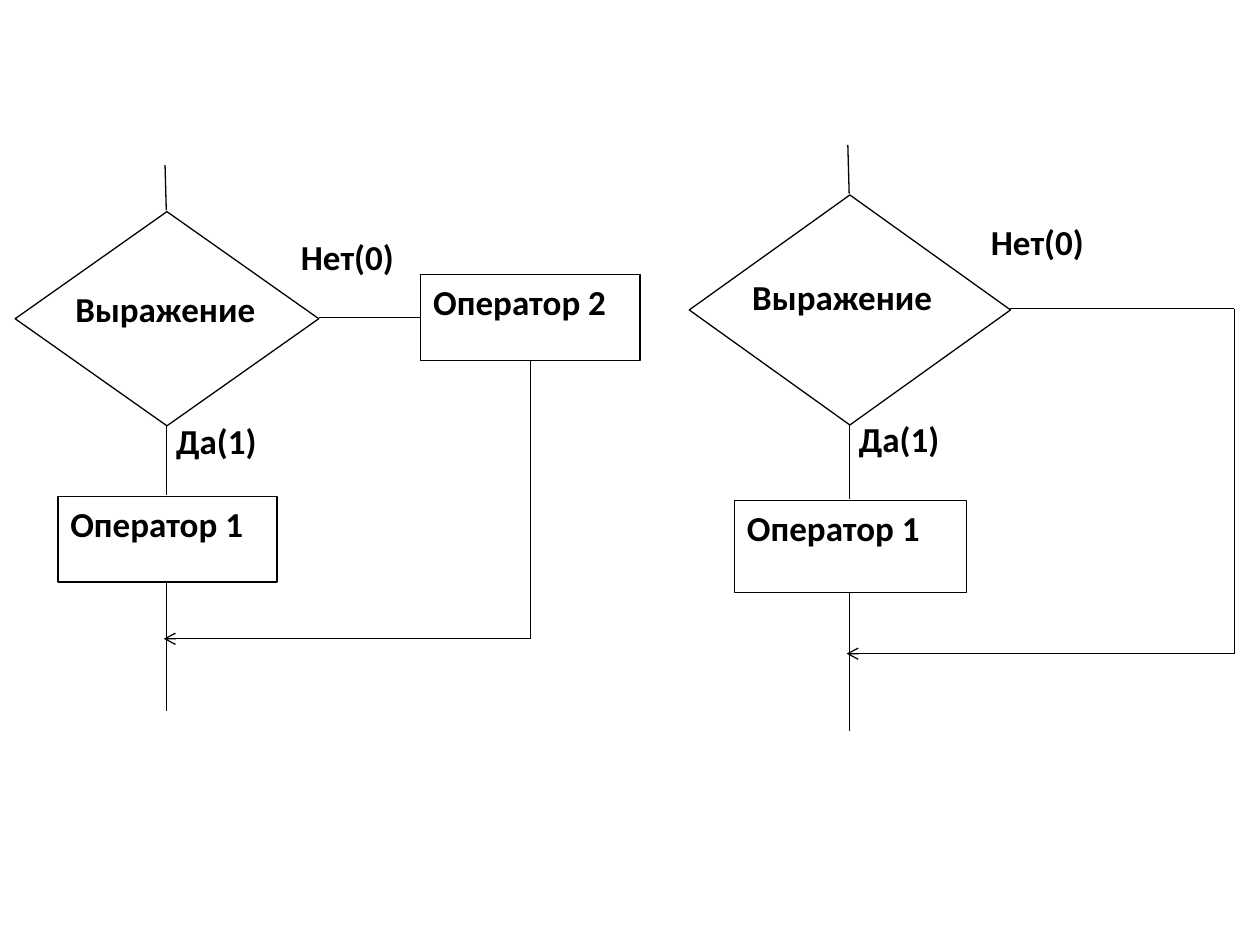
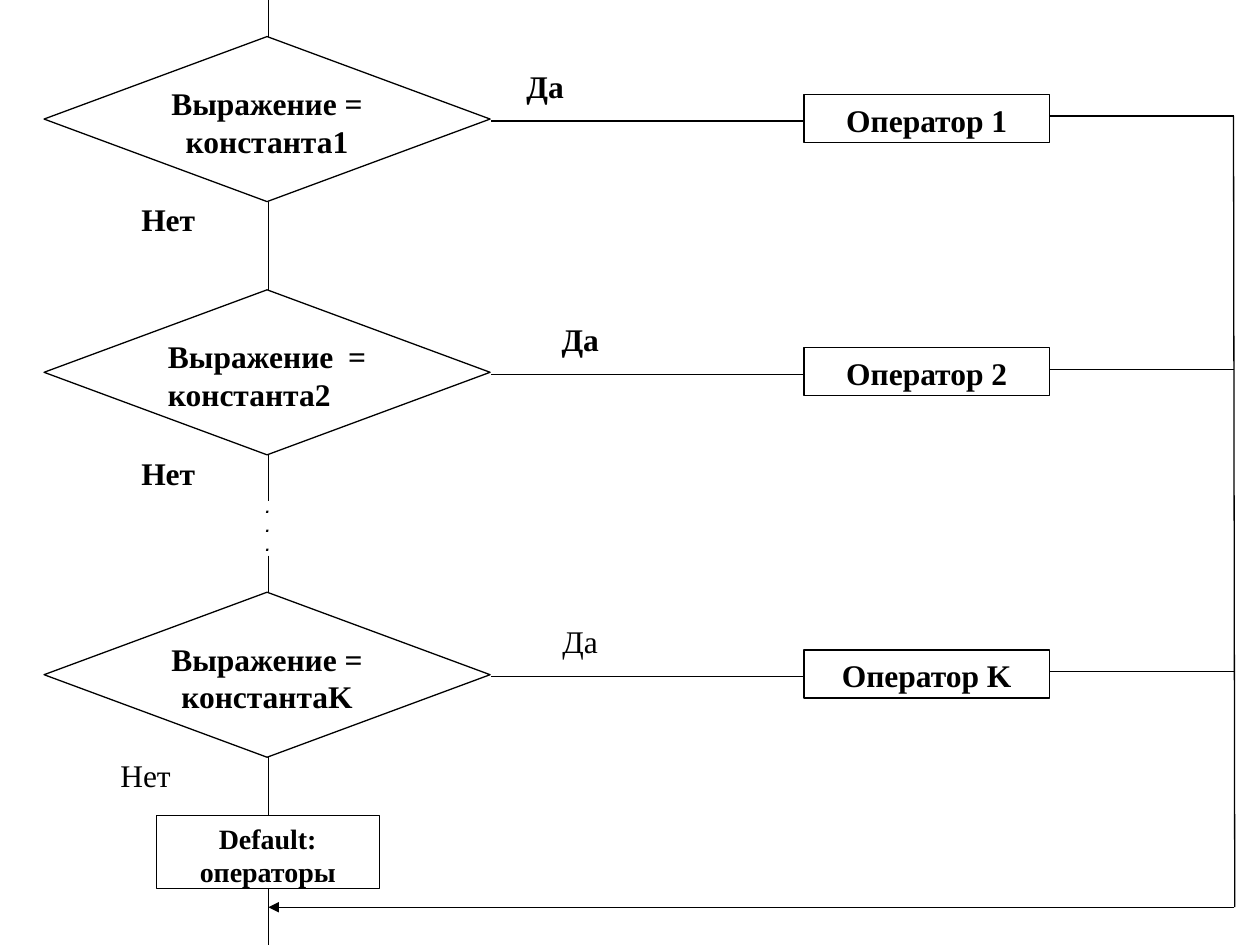
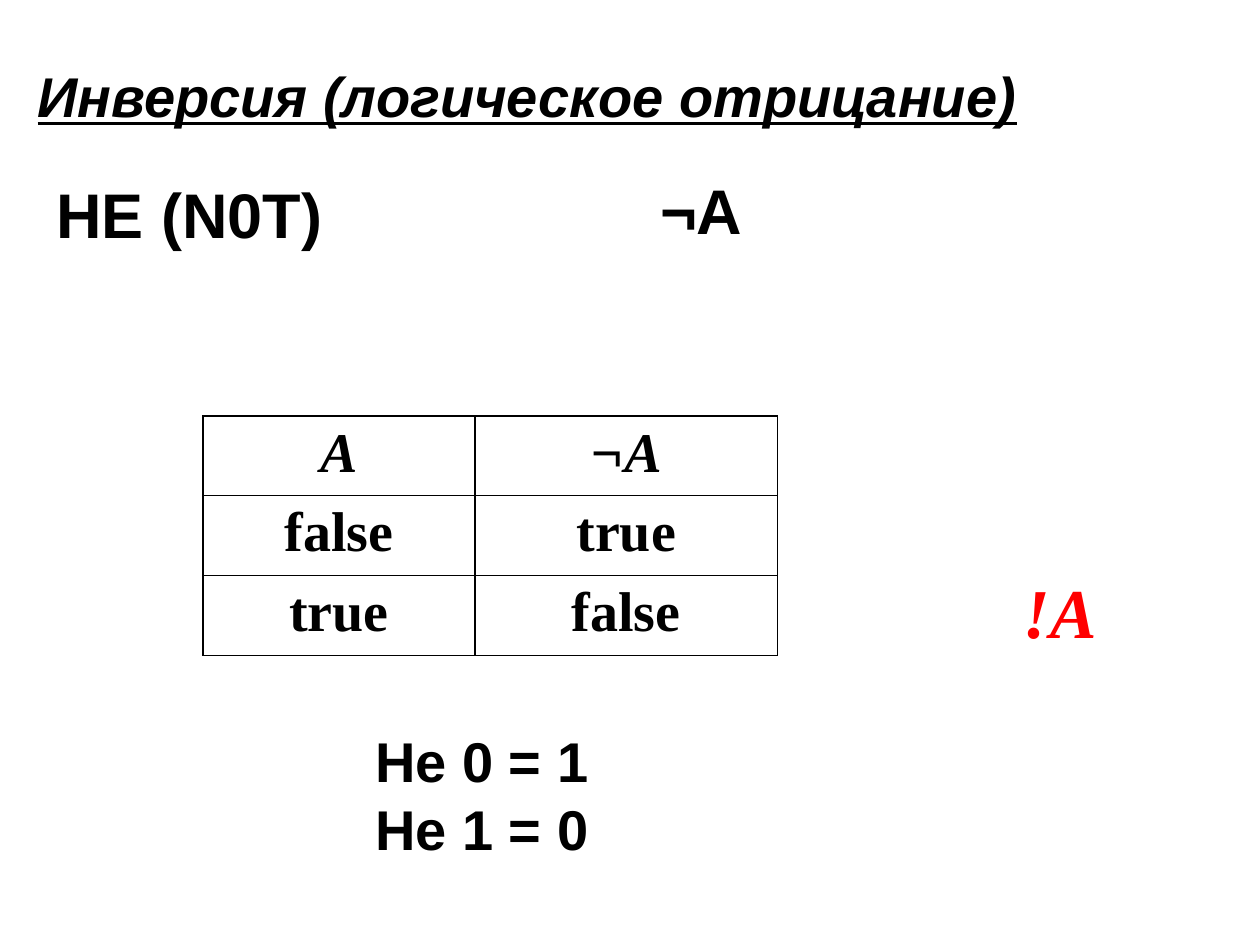
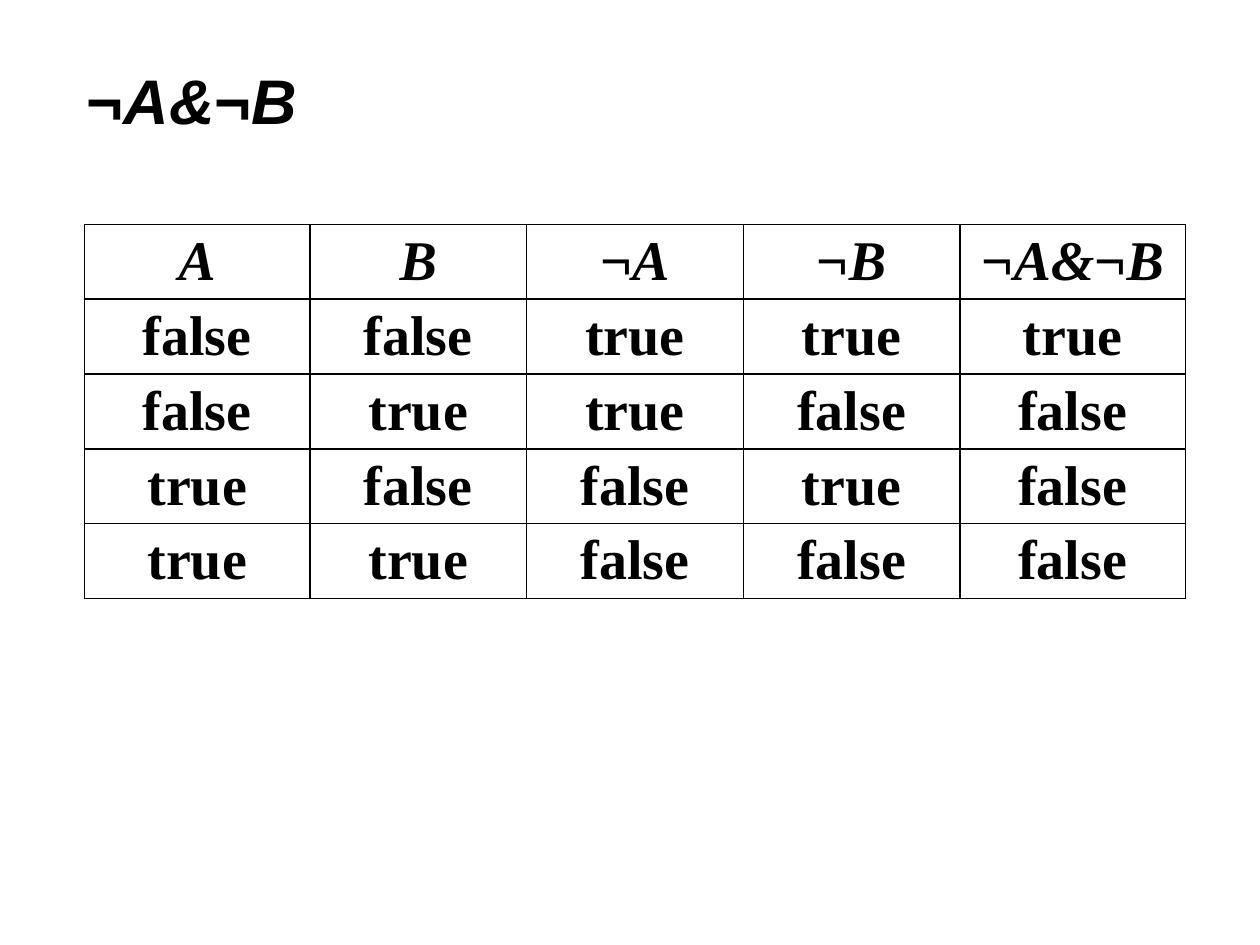
from itertools import groupby

from lxml import etree
from pptx import Presentation
from pptx.dml.color import RGBColor
from pptx.enum.shapes import MSO_CONNECTOR, MSO_SHAPE
from pptx.enum.text import MSO_ANCHOR, PP_ALIGN
from pptx.oxml.ns import qn
from pptx.util import Inches, Pt

BLACK = RGBColor(0x00, 0x00, 0x00)
WHITE = RGBColor(0xFF, 0xFF, 0xFF)
RED = RGBColor(0xFF, 0x00, 0x00)
LEFT, CENTER, JUSTIFY = PP_ALIGN.LEFT, PP_ALIGN.CENTER, PP_ALIGN.JUSTIFY
TOP, MIDDLE = MSO_ANCHOR.TOP, MSO_ANCHOR.MIDDLE
RECT, DECISION = MSO_SHAPE.RECTANGLE, MSO_SHAPE.FLOWCHART_DECISION
STRAIGHT = MSO_CONNECTOR.STRAIGHT
SANS, SERIF, BODY = "Arial", "Times New Roman", "Calibri"
LINE_WIDTH = Pt(0.75)


def write(tf, text, font=SERIF, size=18, bold=True, italic=False,
          underline=False, color=BLACK, align=LEFT, anchor=TOP, upright=""):
    tf.word_wrap = True
    tf.vertical_anchor = anchor
    for i, line in enumerate(text.split("\n")):
        p = tf.add_paragraph() if i else tf.paragraphs[0]
        p.alignment = align
        for is_upright, chars in groupby(line, lambda c: c in upright):
            r = p.add_run()
            r.text = "".join(chars)
            f = r.font
            f.name, f.size, f.bold = font, Pt(size), bold
            f.italic = italic and not is_upright
            f.underline = underline
            f.color.rgb = color


def add_text(slide, box, text, **fmt):
    sp = slide.shapes.add_textbox(*map(Inches, box))
    write(sp.text_frame, text, **fmt)


def add_block(slide, kind, box, text="", outlined=True, **fmt):
    sp = slide.shapes.add_shape(kind, *map(Inches, box))
    sp.shadow.inherit = False
    sp.fill.solid()
    sp.fill.fore_color.rgb = WHITE
    if outlined:
        sp.line.color.rgb = BLACK
        sp.line.width = LINE_WIDTH
    else:
        sp.line.fill.background()
    if text:
        write(sp.text_frame, text, **fmt)


def add_line(slide, start, end, head=None):
    cx = slide.shapes.add_connector(STRAIGHT, *map(Inches, (*start, *end)))
    cx.line.color.rgb = BLACK
    cx.line.width = LINE_WIDTH
    sp_pr = cx._element.spPr
    if head:
        etree.SubElement(sp_pr.find(qn("a:ln")), qn("a:tailEnd"), type=head)
    etree.SubElement(sp_pr, qn("a:effectLst"))


def set_borders(cell):
    tc_pr = cell._tc.get_or_add_tcPr()
    for i, side in enumerate(("a:lnL", "a:lnR", "a:lnT", "a:lnB")):
        ln = etree.Element(qn(side), w=str(Pt(1)))
        fill = etree.SubElement(ln, qn("a:solidFill"))
        etree.SubElement(fill, qn("a:srgbClr"), val=str(BLACK))
        tc_pr.insert(i, ln)


def add_truth_table(slide, left, top, widths, row_height, rows, upright=""):
    frame = slide.shapes.add_table(
        len(rows), len(widths), Inches(left), Inches(top),
        Inches(sum(widths)), Inches(row_height * len(rows)))
    table = frame.table
    table.first_row = table.horz_banding = False
    for column, width in zip(table.columns, widths):
        column.width = Inches(width)
    for i, values in enumerate(rows):
        table.rows[i].height = Inches(row_height)
        for cell, value in zip(table.rows[i].cells, values):
            cell.fill.solid()
            cell.fill.fore_color.rgb = WHITE
            set_borders(cell)
            write(cell.text_frame, value, size=32, italic=i == 0,
                  align=CENTER, upright=upright)


def draw_if(slide, left, top, width, height, has_else):
    sx, sy = width / 2.41, height / 4.33

    def at(x, y):
        return left + x * sx, top + y * sy

    def area(x, y, w, h):
        return *at(x, y), w * sx, h * sy

    fmt = {"font": BODY, "size": 20}
    axis, side, exit_y, merge_y = 1.2, 4.09, 1.21, 3.76
    add_block(slide, DECISION, area(0, 0.37, 2.41, 1.7))
    add_text(slide, area(0.38, 0.92, 1.69, 0.62), "Выражение", **fmt)
    add_block(slide, RECT, area(0.34, 2.63, 1.74, 0.68), "Оператор 1", **fmt)
    add_text(slide, area(1.18, 1.97, 1, 0.68), "Да(1)", **fmt)
    add_text(slide, area(2.17, 0.51, 1.14, 0.68), "Нет(0)", **fmt)
    add_line(slide, at(axis - 0.01, 0), at(axis, 0.36))
    add_line(slide, at(axis, 2.07), at(axis, 2.62))
    add_line(slide, at(axis, 4.33), at(axis, 3.31))
    if has_else:
        add_block(slide, RECT, area(3.22, 0.87, 1.74, 0.68), "Оператор 2", **fmt)
    add_line(slide, at(2.41, exit_y), at(3.22 if has_else else side, exit_y))
    add_line(slide, at(side, 1.55 if has_else else exit_y), at(side, merge_y))
    add_line(slide, at(side, merge_y), at(axis - 0.02, merge_y), head="arrow")


def draw_case(slide, left, top, label, yes_x, no_x, bold=True,
              align=CENTER, yes_align=CENTER):
    def add_label(x, y, w, text, text_align):
        add_block(slide, RECT, (left + x, top + y, w, 0.38), text,
                  outlined=False, bold=bold, align=text_align)

    add_block(slide, DECISION, (left, top, 3.54, 1.31),
              f"Выражение = константа{label}", align=align)
    add_block(slide, RECT, (left + 6.03, top + 0.46, 1.95, 0.38),
              f"Оператор {label}", align=CENTER)
    add_line(slide, (left + 3.55, top + 0.67), (left + 6.03, top + 0.67))
    add_line(slide, (left + 7.98, top + 0.63), (left + 9.44, top + 0.63))
    add_label(yes_x, 0.19, 0.71, "Да", yes_align)
    add_label(no_x, 1.25, 0.89, "Нет", CENTER)


def draw_switch(slide):
    axis, side, merge_y = 2.13, 9.79, 7.2
    draw_case(slide, 0.35, 0.29, "1", 3.73, 0.54, yes_align=LEFT)
    draw_case(slide, 0.35, 2.3, "2", 3.9, 0.54, align=JUSTIFY)
    draw_case(slide, 0.35, 4.7, "K", 3.9, 0.36, bold=False)
    add_block(slide, RECT, (1.24, 6.47, 1.77, 0.58), "Default: операторы",
              size=16, align=CENTER)
    spans = [(0, 0.29), (1.6, 2.3), (3.61, 3.98), (4.41, 4.7), (6.01, 6.47), (7.05, 7.5)]
    for start, end in spans:
        add_line(slide, (axis, start), (axis, end))
    add_line(slide, (side, 0.92), (side + 0.01, merge_y))
    add_line(slide, (side, merge_y), (axis, merge_y), head="triangle")
    add_text(slide, (2.01, 3.9, 0.32, 0.56), ".\n.\n.", font=SANS, size=9, italic=True)


def draw_inversion(slide):
    add_text(slide, (0.2, 0.44, 8.1, 0.63), "Инверсия (логическое отрицание)",
             font=SANS, size=32, italic=True, underline=True, anchor=MIDDLE)
    add_text(slide, (0.35, 1.34, 2.99, 0.7), "НЕ (N0T)", font=SANS, size=36, anchor=MIDDLE)
    add_text(slide, (5.14, 1.31, 1.13, 0.7), "¬A", font=SANS, size=36, anchor=MIDDLE)
    add_truth_table(slide, 1.61, 3.3, [2.16, 2.4], 0.63, [
        ("А", "¬А"),
        ("false", "true"),
        ("true", "false"),
    ])
    add_text(slide, (8.01, 4.46, 0.8, 0.77), "!А", size=40, italic=True,
             color=RED, align=CENTER)
    add_text(slide, (2.88, 5.72, 2.76, 1.18), "Не 0 = 1\nНе 1 = 0", font=SANS, size=32)


def draw_conjunction(slide):
    add_truth_table(slide, 0.67, 1.78, [1.79, 1.72, 1.72, 1.72, 1.79], 0.59, [
        ("А", "В", "¬A", "¬В", "¬A&¬B"),
        ("false", "false", "true", "true", "true"),
        ("false", "true", "true", "false", "false"),
        ("true", "false", "false", "true", "false"),
        ("true", "true", "false", "false", "false"),
    ], upright="¬")
    add_text(slide, (0.59, 0.44, 2.44, 0.7), "¬A&¬B", font=SANS, size=36,
             italic=True, upright="¬")


def draw_branching(slide):
    draw_if(slide, 0.12, 1.31, 2.41, 4.33, has_else=True)
    draw_if(slide, 5.47, 1.15, 2.55, 4.65, has_else=False)


def main():
    prs = Presentation()
    prs.slide_width, prs.slide_height = Inches(10), Inches(7.5)
    for draw in (draw_branching, draw_switch, draw_inversion, draw_conjunction):
        draw(prs.slides.add_slide(prs.slide_layouts[6]))
    prs.save("out.pptx")


if __name__ == "__main__":
    main()
